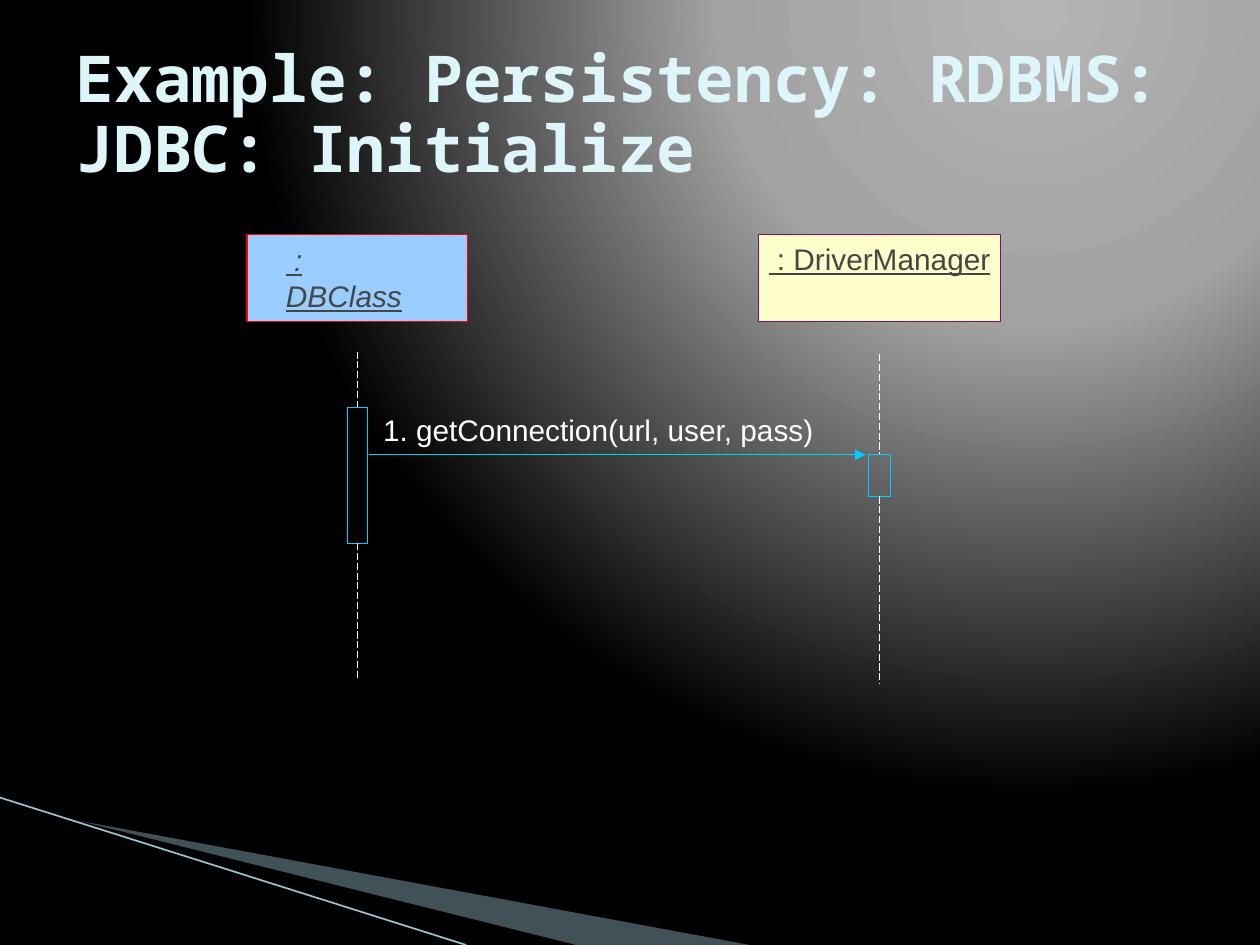
from lxml import etree
from pptx import Presentation
from pptx.dml.color import RGBColor
from pptx.enum import dml, shapes, text
from pptx.oxml.ns import qn
from pptx.util import Inches, Pt

BLACK = RGBColor(0x00, 0x00, 0x00)
WHITE = RGBColor(0xFF, 0xFF, 0xFF)
CYAN = RGBColor(0x00, 0xCC, 0xFF)
RED = RGBColor(0xFF, 0x00, 0x00)
PLUM = RGBColor(0x8A, 0x0E, 0x5E)
SKY = RGBColor(0x99, 0xCC, 0xFF)
CREAM = RGBColor(0xFF, 0xFF, 0xCC)
GREY = RGBColor(0x46, 0x46, 0x46)
ICE = RGBColor(0xDE, 0xF5, 0xFA)
MIST = RGBColor(0xA0, 0xCB, 0xDC)
TEAL = RGBColor(0x97, 0xC5, 0xD8)

TITLE = "Example: Persistency: RDBMS: JDBC: Initialize"
GLOW = [(0, "B4B4B4"), (40, "A2A2A2"), (100, "000000")]
GLOW_CENTRE = {"l": 65, "t": 0, "r": 0, "b": 98}
WEDGES = [
    ([(0.55, 6.5), (5.95, 7.5), (4.56, 7.5)], MIST, 40),
    ([(0.53, 6.49), (4.57, 7.5), (3.72, 7.5)], BLACK, 100),
]
HEAD_TOP, HEAD_HEIGHT = 1.86, 0.69
MESSAGE = "1. getConnection(url, user, pass)"
MESSAGE_Y = 3.61
# head: left, width; label: left, top, width; bar: left, top, width, height;
# lifeline: x, top, bottom
PARTICIPANTS = [
    dict(name=" : DBClass", head=(1.96, 1.75), fill=SKY, line=RED,
         label=(2.27, 1.92, 1.1), italic=True,
         bar=(2.76, 3.23, 0.16, 1.08), lifeline=(2.84, 2.79, 5.4)),
    dict(name=" : DriverManager", head=(6.02, 1.92), fill=CREAM, line=PLUM,
         label=(6.1, 1.91, 1.78), italic=False,
         bar=(6.89, MESSAGE_Y, 0.18, 0.33), lifeline=(6.98, 2.81, 5.43)),
]


def paint_background(slide):
    slide.background.fill.gradient()
    gradient = slide.background._cSld.find(".//" + qn("a:gradFill"))
    for child in list(gradient):
        gradient.remove(child)
    stops = etree.SubElement(gradient, qn("a:gsLst"))
    for position, colour in GLOW:
        stop = etree.SubElement(stops, qn("a:gs"), pos=str(position * 1000))
        etree.SubElement(stop, qn("a:srgbClr"), val=colour)
    circle = etree.SubElement(gradient, qn("a:path"))
    circle.set("path", "circle")
    etree.SubElement(circle, qn("a:fillToRect"),
                     {side: str(value * 1000) for side, value in GLOW_CENTRE.items()})


def add_wedge(slide, points, colour, opacity):
    builder = slide.shapes.build_freeform(*map(Inches, points[0]), scale=1.0)
    builder.add_line_segments([tuple(map(Inches, p)) for p in points[1:]])
    wedge = builder.convert_to_shape()
    wedge.shadow.inherit = False
    wedge.line.fill.background()
    wedge.fill.solid()
    wedge.fill.fore_color.rgb = colour
    if opacity < 100:
        colour_element = wedge._element.spPr.find(".//" + qn("a:srgbClr"))
        etree.SubElement(colour_element, qn("a:alpha"), val=str(opacity * 1000))


def add_line(slide, start, end, colour, width=0.5, dashed=False, arrow=False):
    line = slide.shapes.add_connector(
        shapes.MSO_CONNECTOR.STRAIGHT, *map(Inches, start + end))
    line.line.color.rgb = colour
    line.line.width = Pt(width)
    if dashed:
        line.line.dash_style = dml.MSO_LINE.LONG_DASH
    if arrow:
        etree.SubElement(line.line._get_or_add_ln(), qn("a:tailEnd"), type="triangle")
    etree.SubElement(line._element.spPr, qn("a:effectLst"))


def add_box(slide, box, line, width, fill=None):
    rect = slide.shapes.add_shape(shapes.MSO_SHAPE.RECTANGLE, *map(Inches, box))
    rect.shadow.inherit = False
    rect.line.color.rgb = line
    rect.line.width = Pt(width)
    if fill is None:
        rect.fill.background()
    else:
        rect.fill.solid()
        rect.fill.fore_color.rgb = fill


def set_font(run, colour, **formats):
    run.font.color.rgb = colour
    for key, value in formats.items():
        setattr(run.font, key, value)


def add_label(slide, words, place, colour, wrap, **formats):
    left, top, width = place
    frame = slide.shapes.add_textbox(*map(Inches, (left, top, width, 0.28))).text_frame
    settings = dict(margin_left=0, margin_top=0, margin_right=0, margin_bottom=0,
                    word_wrap=wrap, auto_size=text.MSO_AUTO_SIZE.SHAPE_TO_FIT_TEXT)
    for key, value in settings.items():
        setattr(frame, key, value)
    run = frame.paragraphs[0].add_run()
    run.text = words
    set_font(run, colour, name="Arial", size=Pt(17), **formats)


def add_title(slide):
    title = slide.shapes.title
    box = dict(left=0.5, top=0.3, width=9, height=1.25)
    for key, value in box.items():
        setattr(title, key, Inches(value))
    frame = title.text_frame
    frame.text = TITLE
    frame.word_wrap = True
    frame.auto_size = text.MSO_AUTO_SIZE.NONE
    frame.vertical_anchor = text.MSO_ANCHOR.MIDDLE
    paragraph = frame.paragraphs[0]
    paragraph.alignment = text.PP_ALIGN.LEFT
    paragraph.line_spacing = 0.9
    set_font(paragraph.runs[0], ICE, name="Noto Sans Mono", size=Pt(36.9), bold=True)


def add_participant(slide, part):
    left, width = part["head"]
    add_box(slide, (left, HEAD_TOP, width, HEAD_HEIGHT), part["line"], 0, part["fill"])
    add_label(slide, part["name"], part["label"], GREY, True,
              italic=part["italic"], underline=True)
    x, top, bottom = part["lifeline"]
    bar_top, bar_height = part["bar"][1], part["bar"][3]
    add_line(slide, (x, top), (x, bar_top), WHITE, dashed=True)
    add_box(slide, part["bar"], CYAN, 0.5)
    add_line(slide, (x, bar_top + bar_height), (x, bottom), WHITE, dashed=True)


def main():
    prs = Presentation()
    prs.slide_width, prs.slide_height = Inches(10), Inches(7.5)
    slide = prs.slides.add_slide(prs.slide_layouts[5])
    paint_background(slide)
    for wedge in WEDGES:
        add_wedge(slide, *wedge)
    add_line(slide, (0, 6.33), (3.7, 7.5), TEAL, width=0.95)
    add_title(slide)
    for part in PARTICIPANTS:
        add_participant(slide, part)
    add_line(slide, (2.93, MESSAGE_Y), (6.87, MESSAGE_Y), CYAN, arrow=True)
    add_label(slide, MESSAGE, (3.04, 3.27, 3.43), WHITE, False)
    prs.save("out.pptx")


if __name__ == "__main__":
    main()
